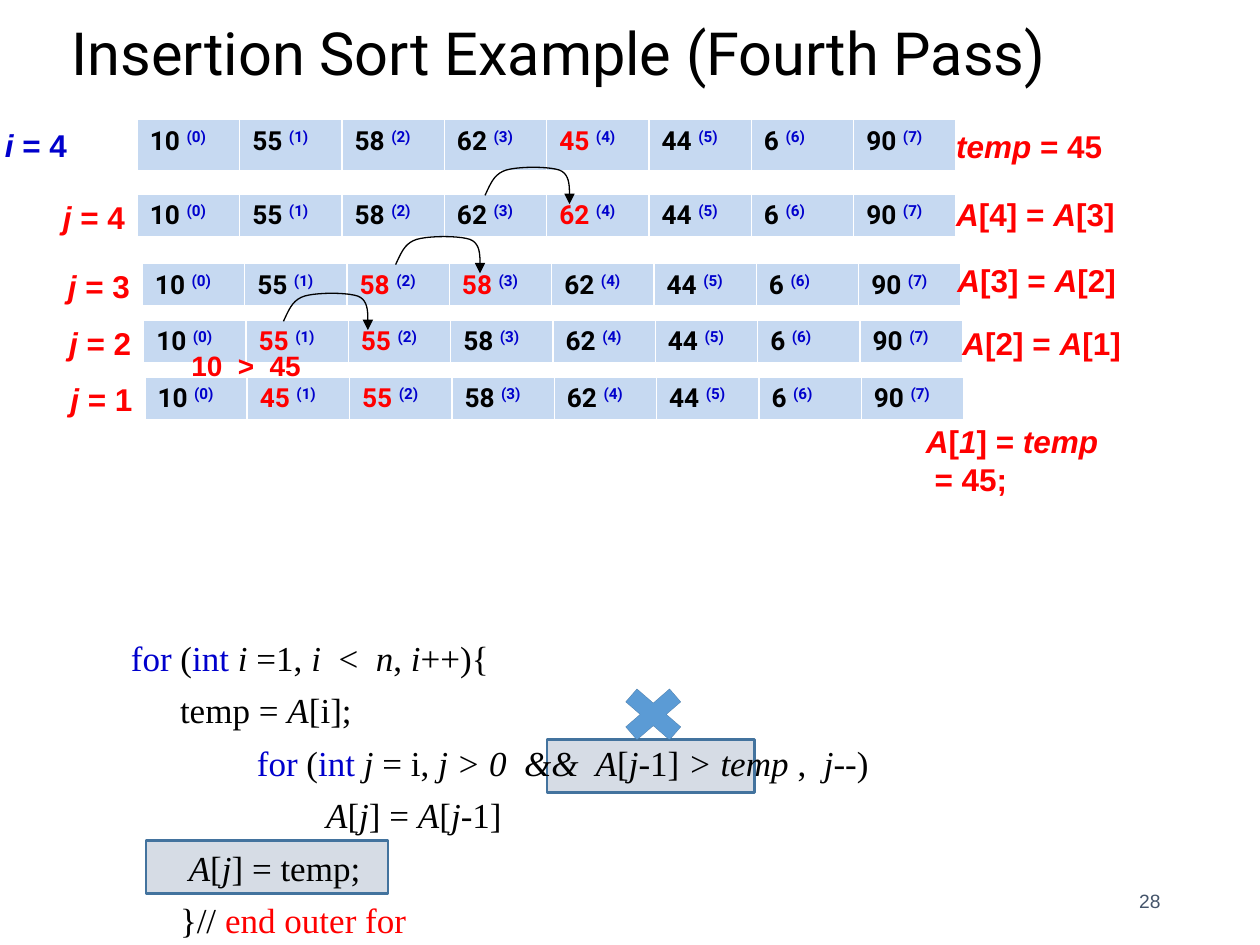
from lxml.etree import SubElement
from pptx import Presentation
from pptx.dml.color import RGBColor
from pptx.enum.shapes import MSO_CONNECTOR, MSO_SHAPE
from pptx.enum.text import MSO_ANCHOR, MSO_AUTO_SIZE, PP_ALIGN
from pptx.oxml.ns import qn
from pptx.util import Inches, Pt

BLACK = RGBColor(0, 0, 0)
WHITE = RGBColor(255, 255, 255)
RED = RGBColor(255, 0, 0)
BLUE = RGBColor(0, 0, 0xCC)
CELL = RGBColor(0xC6, 0xD9, 0xF1)
BOX = RGBColor(0xD6, 0xDC, 0xE5)
EDGE = RGBColor(0x43, 0x73, 0x9E)
CROSS = RGBColor(0x5B, 0x9B, 0xD5)
SLATE = RGBColor(0x44, 0x54, 0x6A)

# Runs are (text, style): i = italic, b = blue, r = red
TITLE = "Insertion Sort Example (Fourth Pass)"
# Array states: left, top, height, values, indices shown in red
STATES = [
    (1.09, 0.95, 0.42, (10, 55, 58, 62, 45, 44, 6, 90), (4,)),
    (1.09, 1.54, 0.35, (10, 55, 58, 62, 62, 44, 6, 90), (4,)),
    (1.13, 2.09, 0.35, (10, 55, 58, 58, 62, 44, 6, 90), (2, 3)),
    (1.14, 2.54, 0.35, (10, 55, 55, 58, 62, 44, 6, 90), (1, 2)),
    (1.15, 2.99, 0.35, (10, 45, 55, 58, 62, 44, 6, 90), (1, 2)),
]
# Labels: left, top, width, height, size, colour, paragraphs
LABELS = [
    (-0.06, 0.95, 0.69, 0.4, 18, BLUE, [[("i", "i"), (" = 4", "")]]),
    (7.49, 0.96, 1.36, 0.4, 18, RED, [[("temp", "i"), (" = 45", "")]]),
    (7.25, 3.3, 1.57, 0.7, 18, RED,
     [[("A", "i"), ("[", ""), ("1", "i"), ("] = ", ""), ("temp", "i")], [(" = 45;", "")]]),
    (1.42, 2.72, 1.08, 0.37, 16, RED, [[("10  >  45", "")]]),
]
for left, top, j in ((0.4, 1.52, 4), (0.44, 2.07, 3), (0.45, 2.52, 2), (0.46, 2.97, 1)):
    LABELS.append((left, top, 0.69, 0.4, 18, RED, [[("j", "i"), (f" = {j}", "")]]))
for left, top, j in ((7.49, 1.5, 4), (7.5, 2.02, 3), (7.54, 2.52, 2)):
    LABELS.append((left, top, 1.46, 0.4, 18, RED,
                   [[("A", "i"), (f"[{j}] = ", ""), ("A", "i"), (f"[{j - 1}]", "")]]))
# Code lines: indent, runs
CODE = [
    (0.3, [("for", "b"), (" (", ""), ("int ", "b"), ("i ", "i"), ("=1, ", ""), ("i  ", "i"),
           ("<  ", ""), ("n", "i"), (", ", ""), ("i", "i"), ("++){", "")]),
    (0.69, [("temp = ", ""), ("A", "i"), ("[i];", "")]),
    (1.3, [("for", "b"), (" (", ""), ("int ", "b"), ("j ", "i"), ("= i, ", ""),
           ("j > 0  &&  A", "i"), ("[", ""), ("j", "i"), ("-1]", ""), (" > temp ", "i"),
           (",  ", ""), ("j", "i"), ("--)", "")]),
    (1.85, [("A", "i"), ("[", ""), ("j", "i"), ("] = ", ""), ("A", "i"), ("[", ""),
            ("j", "i"), ("-1]", "")]),
    (0.76, [("A", "i"), ("[", ""), ("j", "i"), ("] = temp;", "")]),
    (0.69, [("}// ", ""), ("end outer for", "r")]),
]
# Shift arrows: left end, top of the row they point into
ARROWS = [(3.85, 1.54), (3.14, 2.09), (2.25, 2.54)]
ARC_W, ARC_H = 0.67, 0.23
# Arc as Bezier segments, in shares of its width and height
ARC = [
    ((0, 1), (0.06, 0.65), (0.1, 0.26), (0.25, 0.13)),
    ((0.25, 0.13), (0.4, 0), (0.75, 0), (0.88, 0.13)),
    ((0.88, 0.13), (1, 0.26), (1, 0.65), (1, 1)),
]

prs = Presentation()
prs.slide_width, prs.slide_height = Inches(10), Inches(7.5)
s = prs.slides.add_slide(prs.slide_layouts[6])


def add_run(p, text, size, font, color, bold=False, style=""):
    r = p.add_run()
    r.text = text
    r.font.size, r.font.name, r.font.bold = Pt(size), font, bold
    r.font.italic = style == "i"
    r.font.color.rgb = {"b": BLUE, "r": RED}.get(style, color)
    return r


def add_text(left, top, width, height, wrap=True):
    tf = s.shapes.add_textbox(*map(Inches, (left, top, width, height))).text_frame
    tf.word_wrap = wrap
    tf.auto_size = MSO_AUTO_SIZE.NONE if wrap else MSO_AUTO_SIZE.SHAPE_TO_FIT_TEXT
    return tf


def add_shape(kind, left, top, width, height, fill, line_width):
    sp = s.shapes.add_shape(kind, *map(Inches, (left, top, width, height)))
    sp.shadow.inherit = False
    sp.fill.solid()
    sp.fill.fore_color.rgb = fill
    sp.line.color.rgb, sp.line.width = EDGE, Pt(line_width)


def set_borders(cell):
    tc_pr = cell._tc.get_or_add_tcPr()
    for pos, (side, width) in enumerate((("lnL", 1), ("lnR", 1), ("lnT", 1), ("lnB", 3))):
        ln = SubElement(tc_pr, qn(f"a:{side}"), w=str(Pt(width)))
        SubElement(SubElement(ln, qn("a:solidFill")), qn("a:srgbClr"), val=str(WHITE))
        tc_pr.insert(pos, ln)


def add_state(left, top, height, values, reds):
    frame = s.shapes.add_table(1, len(values), *map(Inches, (left, top, 6.5, height)))
    for k, value in enumerate(values):
        cell = frame.table.cell(0, k)
        cell.fill.solid()
        cell.fill.fore_color.rgb = CELL
        set_borders(cell)
        p = cell.text_frame.paragraphs[0]
        add_run(p, f"{value} ", 15, "Roboto", RED if k in reds else BLACK, True)
        index = add_run(p, f"({k})", 15, "Roboto", BLUE, True)
        index._r.get_or_add_rPr().set("baseline", "30000")


def add_arrow(left, row_top):
    # Curve sampled along its Bezier segments
    x0, y0 = left, row_top + 0.01 - ARC_H
    points = []
    for a, b, c, d in ARC:
        for t in (n / 10 for n in range(11)):
            x, y = (a[i] * (1 - t) ** 3 + 3 * b[i] * t * (1 - t) ** 2
                    + 3 * c[i] * t * t * (1 - t) + d[i] * t ** 3 for i in (0, 1))
            points.append((Inches(x0 + x * ARC_W), Inches(y0 + y * ARC_H)))
    builder = s.shapes.build_freeform(*points[0])
    builder.add_line_segments(points[1:], close=False)
    arc = builder.convert_to_shape()
    arc.shadow.inherit = False
    arc.fill.background()
    # Short arrow that ends the curve
    x = Inches(left + ARC_W)
    tip = s.shapes.add_connector(MSO_CONNECTOR.STRAIGHT, x, Inches(row_top),
                                 x, Inches(row_top + 0.08))
    for part in (arc, tip):
        part.line.color.rgb, part.line.width = BLACK, Pt(0.75)
    SubElement(tip.line._get_or_add_ln(), qn("a:tailEnd"), type="triangle")
    SubElement(tip._element.spPr, qn("a:effectLst"))


# Highlights behind the code
add_shape(MSO_SHAPE.RECTANGLE, 4.34, 5.87, 1.65, 0.42, BOX, 1.5)
add_shape(MSO_SHAPE.RECTANGLE, 1.16, 6.67, 1.92, 0.42, BOX, 1.5)

# Title
tf = add_text(0.47, 0.02, 8.28, 0.73)
tf.vertical_anchor = MSO_ANCHOR.BOTTOM
tf.paragraphs[0].line_spacing = 0.9
add_run(tf.paragraphs[0], TITLE, 34, "Roboto", BLACK)

# Array states and shift arrows
for state in STATES:
    add_state(*state)
for arrow in ARROWS:
    add_arrow(*arrow)

# Labels around the arrays
for left, top, width, height, size, color, lines in LABELS:
    tf = add_text(left, top, width, height, wrap=False)
    for n, runs in enumerate(lines):
        p = tf.add_paragraph() if n else tf.paragraphs[0]
        for text, style in runs:
            add_run(p, text, size, "Arial", color, True, style)

# Code
tf = add_text(0.64, 5, 7.92, 2.33)
for n, (indent, runs) in enumerate(CODE):
    p = tf.add_paragraph() if n else tf.paragraphs[0]
    p.space_before = Pt(6)
    p._p.get_or_add_pPr().set("marL", str(Inches(indent)))
    for text, style in runs:
        add_run(p, text, 20, "Times New Roman", BLACK, style=style)

# Page number
tf = add_text(7.06, 6.95, 2.25, 0.4)
tf.vertical_anchor = MSO_ANCHOR.MIDDLE
tf.paragraphs[0].alignment = PP_ALIGN.RIGHT
add_run(tf.paragraphs[0], "28", 11, "Arial", SLATE)

# Cross over the failed condition
add_shape(MSO_SHAPE.MATH_MULTIPLY, 4.85, 5.38, 0.67, 0.58, CROSS, 0.1)

prs.save("out.pptx")
